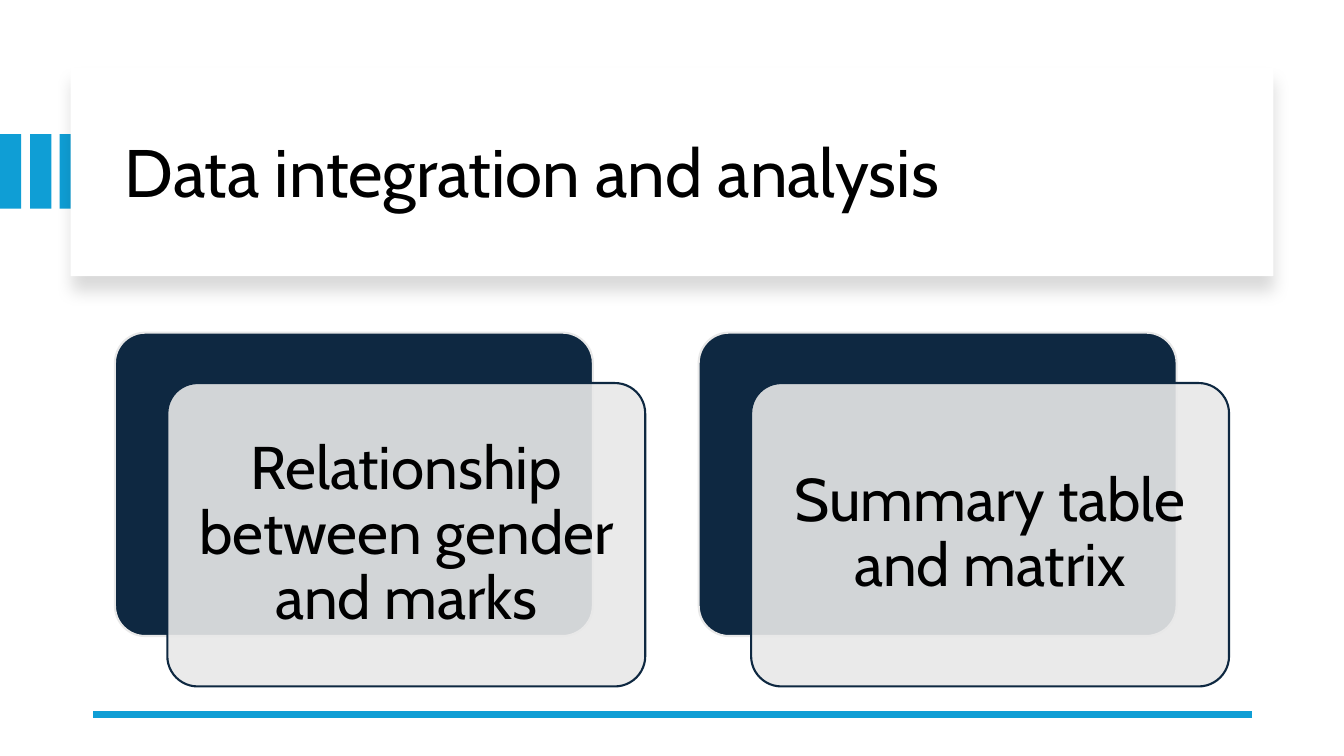
from lxml import etree
from pptx import Presentation
from pptx import util as u
from pptx.dml.color import RGBColor
from pptx.enum import shapes, text
from pptx.oxml import parse_xml
from pptx.oxml.ns import nsdecls, qn

PX = 9144  # 100 px to the inch
FONT = "Cabin"
COLOURS = {"accent": "0F9ED5", "navy": "0E2841", "pale": "E8E8E8",
           "white": "FFFFFF", "ink": "000000"}
CARDS = ["Relationship between gender and marks", "Summary table and matrix"]


def px(*lengths):
    return [u.Emu(length * PX) for length in lengths]


def colour(name):
    return RGBColor.from_string(COLOURS[name])


def add_block(page, box, fill, line=None, rounded=False):
    kind = shapes.MSO_SHAPE.ROUNDED_RECTANGLE if rounded else shapes.MSO_SHAPE.RECTANGLE
    block = page.shapes.add_shape(kind, *px(*box))
    block.shadow.inherit = False
    block.fill.solid()
    block.fill.fore_color.rgb = colour(fill)
    if rounded:
        block.adjustments[0] = 0.1
    if line:
        block.line.color.rgb = colour(line)
        block.line.width = u.Pt(1.5)
    else:
        block.line.fill.background()
    return block


def set_opacity(block, percent):
    tint = block.fill._xPr.find(qn("a:solidFill"))[0]
    etree.SubElement(tint, qn("a:alpha"), val=str(percent * 1000))


def add_drop_shadow(block):
    """Cast a soft 15% shadow straight down."""
    effects = block._element.spPr.find(qn("a:effectLst"))
    effects.append(parse_xml(
        f'<a:outerShdw {nsdecls("a")} blurRad="{u.Pt(11)}" dist="{u.Pt(10)}" '
        f'dir="5400000" algn="t" rotWithShape="0"><a:srgbClr val="{COLOURS["ink"]}">'
        '<a:alpha val="15000"/></a:srgbClr></a:outerShdw>'))


def write(shape, words, size, align, inset_x, inset_y):
    frame = shape.text_frame
    frame.word_wrap = True
    frame.vertical_anchor = text.MSO_ANCHOR.MIDDLE
    frame.margin_left, frame.margin_right = px(inset_x, inset_x)
    frame.margin_top, frame.margin_bottom = px(inset_y, inset_y)
    para = frame.paragraphs[0]
    para.alignment = align
    para.line_spacing = 0.9
    span = para.add_run()
    span.text = words
    span.font.name = FONT
    span.font.size = u.Pt(size)
    span.font.color.rgb = colour("ink")


def add_header(page, words):
    for index in range(3):
        add_block(page, (round(index * 29.5), 133, 21, 74), "accent")
    add_drop_shadow(add_block(page, (70, 67, 1193, 207), "white"))
    title = page.shapes.add_textbox(*px(114, 89, 1113, 170))
    write(title, words, 48, text.PP_ALIGN.LEFT, 10, 5)


def add_footer_rule(page):
    rule = page.shapes.add_connector(
        shapes.MSO_CONNECTOR.STRAIGHT, *px(1242, 709, 92, 709))
    rule.line.color.rgb = colour("accent")
    rule.line.width = u.Pt(4.5)
    etree.SubElement(rule._element.spPr, qn("a:effectLst"))


def add_card(page, left, words):
    """Stack a translucent text card over an offset dark one."""
    top, width, height = 330, 474, 301
    add_block(page, (left, top, width, height), "navy", "pale", rounded=True)
    front = add_block(page, (left + 52, top + 50, width, height),
                      "pale", "navy", rounded=True)
    set_opacity(front, 90)
    write(front, words, 43, text.PP_ALIGN.CENTER, 18, 18)


def main():
    deck = Presentation()
    deck.slide_width, deck.slide_height = px(1333, 750)
    page = deck.slides.add_slide(deck.slide_layouts[6])
    add_header(page, "Data integration and analysis")
    add_footer_rule(page)
    for index, words in enumerate(CARDS):
        add_card(page, 114 + index * 579, words)
    deck.save("out.pptx")


if __name__ == "__main__":
    main()
